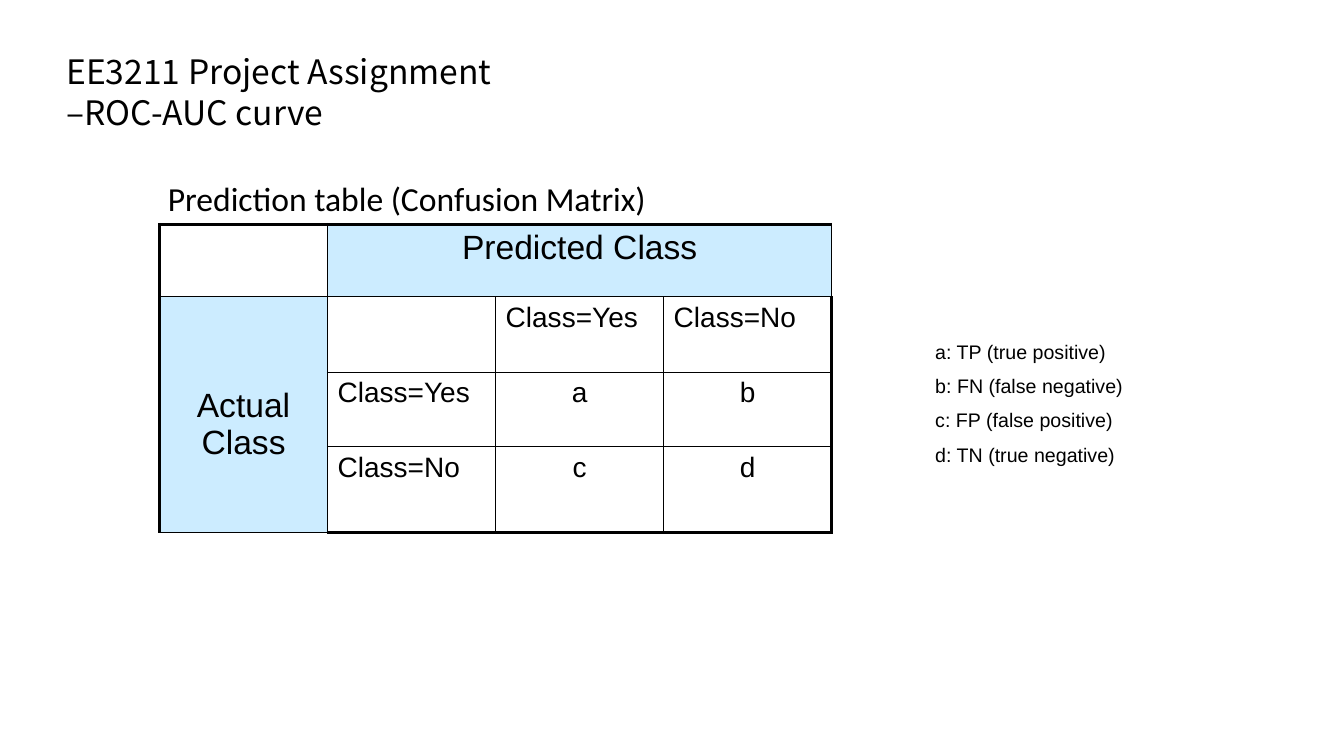
import pptx
import pptx.dml.color
import pptx.enum.text
import pptx.oxml
import pptx.oxml.ns
import pptx.util
from pptx.util import Cm, Pt

ALIGN = pptx.enum.text.PP_ALIGN
ANCHOR = pptx.enum.text.MSO_ANCHOR
BLACK = "000000"
BLUE = "CCECFF"


def color(text):
    """Turn a hex string into a colour."""
    return pptx.dml.color.RGBColor.from_string(text)


def write(frame, lines, size, font="Arial", align=ALIGN.LEFT, gap=0, pitch=None):
    """Write each line as a paragraph with one run."""
    for i, line in enumerate(lines):
        para = frame.paragraphs[0] if i == 0 else frame.add_paragraph()
        para.alignment = align
        para.space_before = Pt(gap if i else 0)
        if pitch:
            para.line_spacing = Pt(pitch)
        run = para.add_run()
        run.text = line
        run.font.size = Pt(size)
        run.font.name = font
        run.font.color.rgb = color(BLACK)


def title(slide, left, top, width, height):
    """Place the two-line title in its placeholder."""
    head = slide.shapes.title
    head.left, head.top, head.width, head.height = left, top, width, height
    frame = head.text_frame
    frame.word_wrap = True
    frame.auto_size = pptx.enum.text.MSO_AUTO_SIZE.NONE
    frame.vertical_anchor = ANCHOR.TOP
    write(frame, ["EE3211 Project Assignment", "–ROC-AUC curve"],
          24, "Noto Sans CJK SC", pitch=29)


def label(slide, left, top, width, height, lines, size, font="Arial", gap=0, wrap=True):
    """Place a text box."""
    frame = slide.shapes.add_textbox(left, top, width, height).text_frame
    frame.word_wrap = wrap
    write(frame, lines, size, font, gap=gap)


def border(cell, thick):
    """Draw the four sides of a cell, wider on the sides in thick."""
    props = cell._tc.get_or_add_tcPr()
    for side in "LRTB":
        width = Pt(2.25 if side in thick else 1)
        props.append(pptx.oxml.parse_xml(
            f'<a:ln{side} {pptx.oxml.ns.nsdecls("a")} w="{width}"><a:solidFill>'
            f'<a:srgbClr val="{BLACK}"/></a:solidFill></a:ln{side}>'))


def matrix(slide, left, top, width, height):
    """Place the confusion matrix."""
    rows = [
        ["", "Predicted Class", "", ""],
        ["Actual Class", "", "Class=Yes", "Class=No"],
        ["", "Class=Yes", "a", "b"],
        ["", "Class=No", "c", "d"],
    ]
    table = slide.shapes.add_table(4, 4, left, top, width, height).table
    table.first_row = table.horz_banding = False
    for column in table.columns:
        column.width = int(width / 4)
    for row, part in zip(table.rows, (0.72, 0.75, 0.74, 0.85)):
        row.height = int(height * part / 3.06)
    table.cell(0, 1).merge(table.cell(0, 3))
    table.cell(1, 0).merge(table.cell(3, 0))
    for r, row in enumerate(rows):
        for c, text in enumerate(row):
            cell = table.cell(r, c)
            border(cell, {0: "T", 3: "B"}.get(r, "") + {0: "L", 3: "R"}.get(c, ""))
            head = (r == 0) != (c == 0)
            if head:
                cell.fill.solid()
                cell.fill.fore_color.rgb = color(BLUE)
            else:
                cell.fill.background()
            if text:
                mid = head or len(text) == 1
                write(cell.text_frame, [text], 24 if head else 20,
                      align=ALIGN.CENTER if mid else ALIGN.LEFT)
    table.cell(1, 0).margin_top = Cm(2.27)


def main():
    """Build and save the slide."""
    deck = pptx.Presentation()
    deck.slide_width, deck.slide_height = Cm(33.87), Cm(19.05)
    slide = deck.slides.add_slide(deck.slide_layouts[5])
    title(slide, Cm(1.42), Cm(1.15), Cm(24.71), Cm(2.31))
    label(slide, Cm(3.98), Cm(4.37), Cm(12.97), Cm(1.27),
          ["Prediction table (Confusion Matrix)"], 24, "Calibri", wrap=False)
    matrix(slide, Cm(4.02), Cm(5.65), Cm(16.94), Cm(7.77))
    label(slide, Cm(23.32), Cm(8.43), Cm(6.15), Cm(3.51),
          ["a: TP (true positive)", "b: FN (false negative)",
           "c: FP (false positive)", "d: TN (true negative)"], 14, gap=7.7)
    deck.save("out.pptx")


if __name__ == "__main__":
    main()
